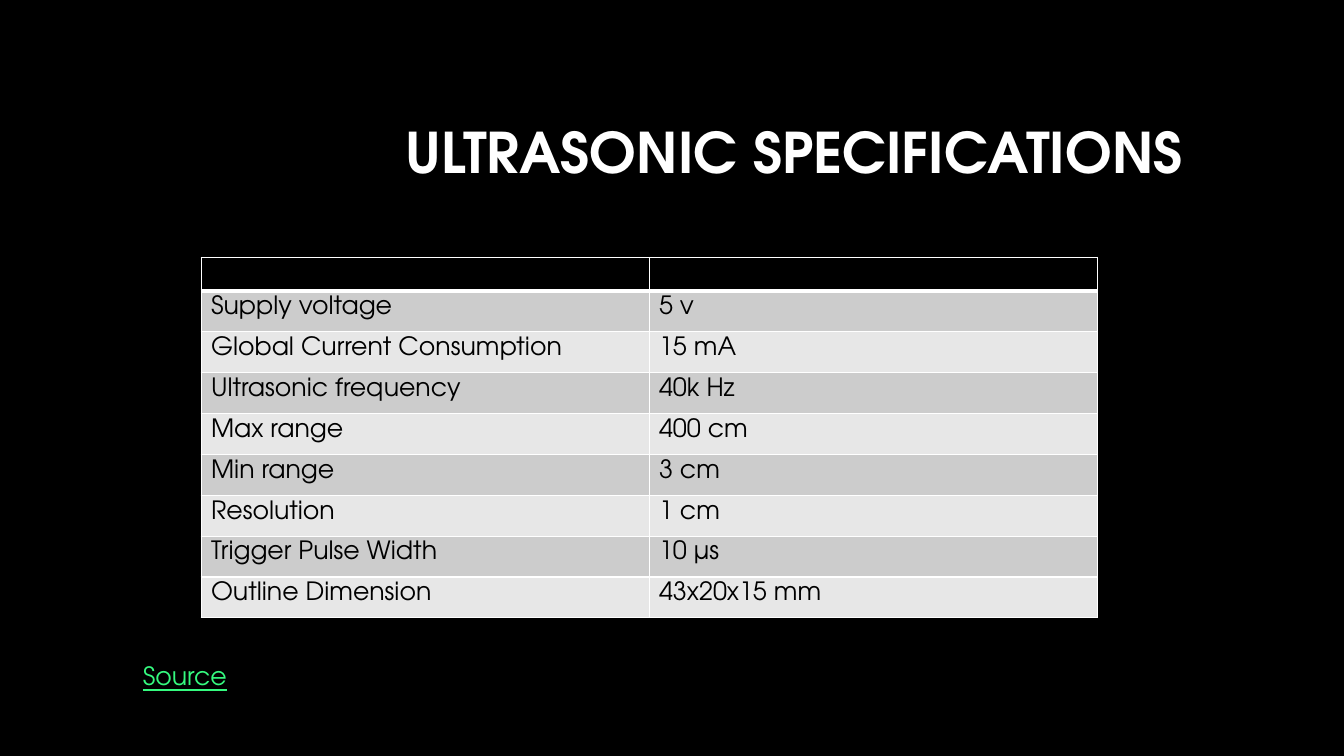
from typing import NamedTuple

from lxml.etree import SubElement
from pptx import Presentation
from pptx.dml.color import RGBColor
from pptx.enum.text import MSO_ANCHOR, PP_ALIGN
from pptx.oxml.ns import qn
from pptx.util import Cm, Pt

FONT = "TeX Gyre Adventor"
COLOURS = {
    "background": "000000",
    "title": "FFFFFF",
    "border": "FFFFFF",
    "header": "000000",
    "odd_row": "CCCCCC",
    "even_row": "E7E7E7",
    "cell_text": "000000",
    "source": "35FA7F",
}
HEADER_HEIGHT, ROW_HEIGHT, COLUMN_WIDTH = 0.84, 1.03, 11.29
CELL_MARGIN = 0.13


class Specification(NamedTuple):
    name: str
    value: str


SPECIFICATIONS = [
    Specification("Supply voltage", "5 v"),
    Specification("Global Current Consumption", "15 mA"),
    Specification("Ultrasonic frequency", "40k Hz"),
    Specification("Max range", "400 cm"),
    Specification("Min range", "3 cm"),
    Specification("Resolution", "1 cm"),
    Specification("Trigger Pulse Width", "10 µs"),
    Specification("Outline Dimension", "43x20x15 mm"),
]


def colour(name: str) -> RGBColor:
    return RGBColor.from_string(COLOURS[name])


def add_span(para, text: str, size: int, colour_name: str):
    span = para.add_run()
    span.text = text
    span.font.name = FONT
    span.font.size = Pt(size)
    span.font.color.rgb = colour(colour_name)
    return span


def set_borders(cell, top: int, bottom: int) -> None:
    properties = cell._tc.get_or_add_tcPr()
    for side, width in (("L", 1), ("R", 1), ("T", top), ("B", bottom)):
        line = SubElement(properties, qn(f"a:ln{side}"), w=str(Pt(width)))
        fill = SubElement(line, qn("a:solidFill"))
        SubElement(fill, qn("a:srgbClr"), val=COLOURS["border"])


def format_cell(cell, fill_name: str, margin: float, top: int = 1, bottom: int = 1) -> None:
    set_borders(cell, top, bottom)
    cell.fill.solid()
    cell.fill.fore_color.rgb = colour(fill_name)
    cell.margin_left = cell.margin_right = Cm(0.25)
    cell.margin_top = cell.margin_bottom = Cm(margin)


def add_title(page) -> None:
    title = page.shapes.title
    title.left, title.top, title.width, title.height = Cm(8.05), Cm(2.13), Cm(23.93), Cm(3.58)
    frame = title.text_frame
    frame.word_wrap = True
    frame.vertical_anchor = MSO_ANCHOR.MIDDLE
    para = frame.paragraphs[0]
    para.alignment = PP_ALIGN.CENTER
    para.line_spacing = 0.9
    add_span(para, "ULTRASONIC SPECIFICATIONS", 40, "title").font.bold = True


def add_specification_table(page) -> None:
    height = HEADER_HEIGHT + ROW_HEIGHT * len(SPECIFICATIONS)
    table = page.shapes.add_table(
        len(SPECIFICATIONS) + 1, 2, Cm(5.07), Cm(6.49), Cm(2 * COLUMN_WIDTH), Cm(height)
    ).table
    for column in table.columns:
        column.width = Cm(COLUMN_WIDTH)

    # Empty header row with a thick rule below
    table.rows[0].height = Cm(HEADER_HEIGHT)
    for cell in table.rows[0].cells:
        format_cell(cell, "header", margin=0, bottom=3)

    # Banded specification rows
    for number, specification in enumerate(SPECIFICATIONS, start=1):
        row = table.rows[number]
        row.height = Cm(ROW_HEIGHT)
        fill_name = "odd_row" if number % 2 else "even_row"
        for cell, text in zip(row.cells, specification):
            format_cell(cell, fill_name, CELL_MARGIN, top=3 if number == 1 else 1)
            add_span(cell.text_frame.paragraphs[0], text, 18, "cell_text")


def add_source(page) -> None:
    box = page.shapes.add_textbox(Cm(3.35), Cm(16.52), Cm(24), Cm(1.02))
    box.text_frame.word_wrap = True
    add_span(box.text_frame.paragraphs[0], "Source", 18, "source").font.underline = True


def main() -> None:
    deck = Presentation()
    deck.slide_width, deck.slide_height = Cm(33.87), Cm(19.05)
    page = deck.slides.add_slide(deck.slide_layouts[5])
    page.background.fill.solid()
    page.background.fill.fore_color.rgb = colour("background")
    add_title(page)
    add_specification_table(page)
    add_source(page)
    deck.save("out.pptx")


if __name__ == "__main__":
    main()
